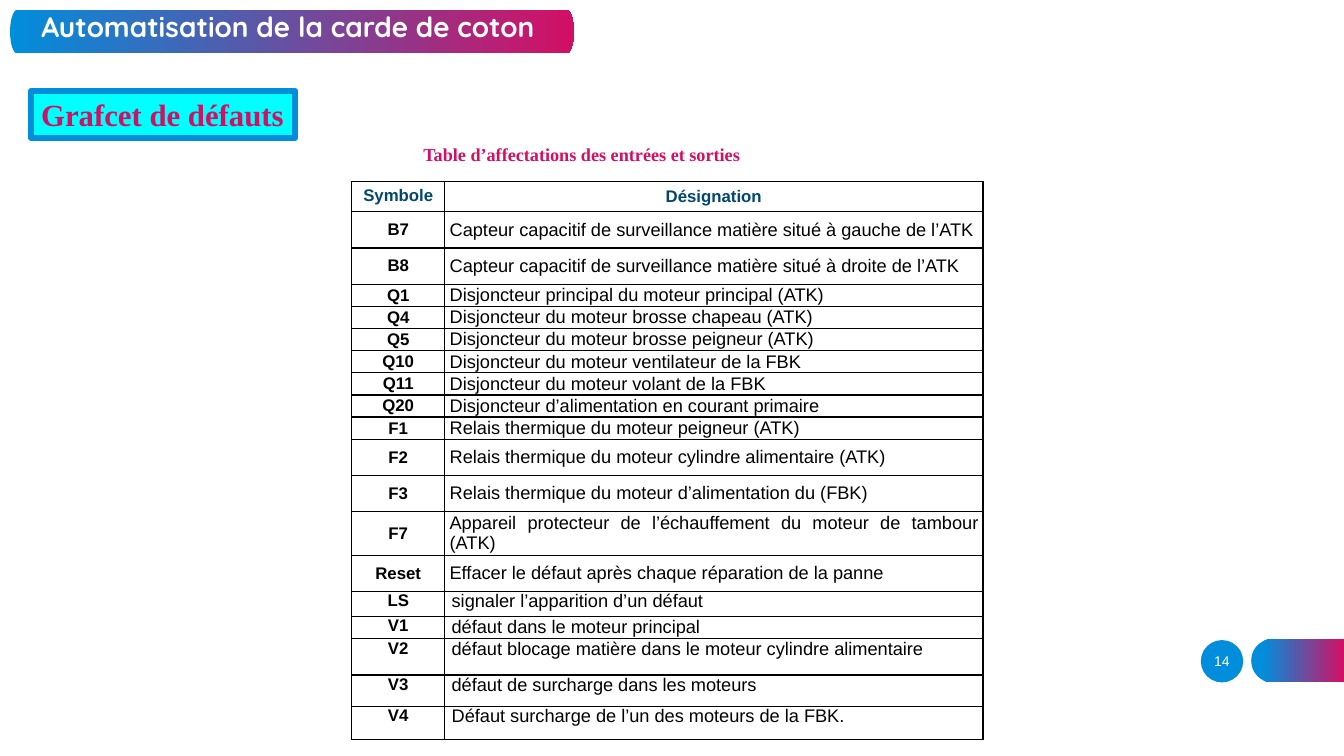
from math import cos, pi, sin

from lxml import etree
from pptx import Presentation
from pptx.dml.color import RGBColor
from pptx.enum.shapes import MSO_SHAPE
from pptx.enum.text import MSO_ANCHOR, PP_ALIGN
from pptx.oxml.ns import qn
from pptx.util import Inches, Pt

LEFT, CENTER, JUSTIFY = PP_ALIGN.LEFT, PP_ALIGN.CENTER, PP_ALIGN.JUSTIFY
TOP, MIDDLE = MSO_ANCHOR.TOP, MSO_ANCHOR.MIDDLE

# Content
TITLE = "Automatisation de la carde de coton"
SECTION = "Grafcet de défauts"
CAPTION = "Table d’affectations des entrées et sorties"
PAGE = "14"
HEADER = ("Symbole", "Désignation", 0.3)
INPUTS = [  # symbol, description, row height
    ("B7", "Capteur capacitif de surveillance matière situé à gauche de l’ATK", 0.36),
    ("B8", "Capteur capacitif de surveillance matière situé à droite de l’ATK", 0.36),
    ("Q1", "Disjoncteur principal du moteur principal (ATK)", 0.22),
    ("Q4", "Disjoncteur du moteur brosse chapeau (ATK)", 0.22),
    ("Q5", "Disjoncteur du moteur brosse peigneur (ATK)", 0.22),
    ("Q10", "Disjoncteur du moteur ventilateur de la FBK", 0.22),
    ("Q11", "Disjoncteur du moteur volant de la FBK", 0.22),
    ("Q20", "Disjoncteur d’alimentation en courant primaire", 0.22),
    ("F1", "Relais thermique du moteur peigneur (ATK)", 0.22),
    ("F2", "Relais thermique du moteur cylindre alimentaire (ATK)", 0.36),
    ("F3", "Relais thermique du moteur d’alimentation du (FBK)", 0.36),
    ("F7", "Appareil protecteur de l’échauffement du moteur de tambour (ATK)", 0.43),
    ("Reset", "Effacer le défaut après chaque réparation de la panne", 0.36),
]
OUTPUTS = [
    ("LS", "signaler l’apparition d’un défaut", 0.25),
    ("V1", "défaut dans le moteur principal", 0.22),
    ("V2", "défaut blocage matière dans le moteur cylindre alimentaire", 0.36),
    ("V3", "défaut de surcharge dans les moteurs", 0.31),
    ("V4", "Défaut surcharge de l’un des moteurs de la FBK.", 0.33),
]
COLORS = {"blue": "008EDC", "pink": "D30F64", "cyan": "00FFFF",
          "navy": "00476E", "black": "000000", "white": "FFFFFF"}
COLUMNS = (0.92, 5.34)


def rgb(name):
    return RGBColor.from_string(COLORS[name])


def write(tf, text, color, align=LEFT, anchor=TOP, **font):
    tf.word_wrap = True
    tf.vertical_anchor = anchor
    p = tf.paragraphs[0]
    p.alignment = align
    r = p.add_run()
    r.text = text
    r.font.color.rgb = rgb(color)
    for key, value in font.items():
        setattr(r.font, key, value)
    return p


def add_band(s, left, top, right, bottom, radius, round_right, start):
    """Gradient band with elliptical ends; the right end may be square."""
    middle, half = (top + bottom) / 2, (bottom - top) / 2
    angles = [pi / 2 + pi * i / 32 for i in range(33)]
    points = [(left + radius + radius * cos(a), middle - half * sin(a)) for a in angles]
    if round_right:
        points += [(left + right - x, y) for x, y in reversed(points)]
    else:
        points += [(right, bottom), (right, top)]
    points = [(Inches(x), Inches(y)) for x, y in points]
    fb = s.shapes.build_freeform(*points[0])
    fb.add_line_segments(points[1:], close=True)
    sp = fb.convert_to_shape()
    sp.shadow.inherit = False
    sp.line.fill.background()
    sp.fill.gradient()
    sp.fill.gradient_angle = 0
    for stop, position, color in zip(sp.fill.gradient_stops, (start, 1), ("blue", "pink")):
        stop.position = position
        stop.color.rgb = rgb(color)


def add_box(s, left, top, width, height):
    return s.shapes.add_textbox(Inches(left), Inches(top), Inches(width), Inches(height))


def border(cell):
    tc_pr = cell._tc.get_or_add_tcPr()
    for i, side in enumerate(("lnL", "lnR", "lnT", "lnB")):
        ln = etree.Element(qn("a:" + side), w=str(Pt(1)))
        fill = etree.SubElement(ln, qn("a:solidFill"))
        etree.SubElement(fill, qn("a:srgbClr"), val=COLORS["black"])
        tc_pr.insert(i, ln)


def fill_cell(cell, text, color, align, anchor, size, bold, inset):
    if inset:
        cell.margin_left = cell.margin_right = Inches(inset)
        cell.margin_top = cell.margin_bottom = 0
    cell.fill.background()
    border(cell)
    write(cell.text_frame, text, color, align, size=Pt(size), name="Arial", bold=bold)
    cell.vertical_anchor = anchor


def add_assignments(s):
    rows = [HEADER] + INPUTS + OUTPUTS
    height = sum(row[2] for row in rows)
    frame = s.shapes.add_table(len(rows), 2, Inches(3.49), Inches(1.8),
                               Inches(sum(COLUMNS)), Inches(height))
    table = frame.table
    table.first_row = table.horz_banding = False
    for column, width in zip(table.columns, COLUMNS):
        column.width = Inches(width)
    for i, (symbol, text, row_height) in enumerate(rows):
        table.rows[i].height = Inches(row_height)
        left, right = table.cell(i, 0), table.cell(i, 1)
        if i == 0:
            fill_cell(left, symbol, "navy", CENTER, TOP, 12, True, None)
            fill_cell(right, text, "navy", CENTER, MIDDLE, 12, True, None)
            continue
        anchor, inset = (MIDDLE, 0.05) if i <= len(INPUTS) else (TOP, 0.07)
        fill_cell(left, symbol, "black", CENTER, anchor, 12, True, inset)
        fill_cell(right, text, "black", JUSTIFY, anchor, 13, False, inset)


def main():
    prs = Presentation()
    prs.slide_width, prs.slide_height = Inches(13.33), Inches(7.5)
    s = prs.slides.add_slide(prs.slide_layouts[5])

    # Page marker
    dot = s.shapes.add_shape(MSO_SHAPE.OVAL, Inches(11.91), Inches(6.35),
                             Inches(0.42), Inches(0.42))
    dot.shadow.inherit = False
    dot.fill.solid()
    dot.fill.fore_color.rgb = rgb("blue")
    dot.line.fill.background()
    add_band(s, 12.41, 6.34, 13.33, 6.77, 0.21, False, 0.12)
    write(add_box(s, 11.82, 6.36, 0.6, 0.4).text_frame, PAGE, "white", CENTER, MIDDLE,
          size=Pt(10), name="Arial")

    # Title on its band
    add_band(s, 0.1, 0.1, 5.69, 0.53, 0.07, True, 0)
    title = s.shapes.title
    title.left, title.top = Inches(0.31), Inches(0)
    title.width, title.height = Inches(6.36), Inches(0.57)
    p = write(title.text_frame, TITLE, "white", LEFT, MIDDLE,
              size=Pt(20), name="Quicksand", bold=True)
    p.line_spacing = 0.9
    title.element.getparent().append(title.element)

    # Section label
    label = s.shapes.add_shape(MSO_SHAPE.RECTANGLE, Inches(0.31), Inches(0.9),
                               Inches(2.62), Inches(0.47))
    label.shadow.inherit = False
    label.fill.solid()
    label.fill.fore_color.rgb = rgb("cyan")
    label.line.color.rgb = rgb("blue")
    label.line.width = Pt(4.25)
    write(label.text_frame, SECTION, "pink", size=Pt(22), name="Times New Roman", bold=True)

    # Table and caption
    add_assignments(s)
    write(add_box(s, 4.1, 1.37, 4.34, 0.32).text_frame, CAPTION, "pink",
          size=Pt(13), name="Times New Roman", bold=True)

    prs.save("out.pptx")


if __name__ == "__main__":
    main()
